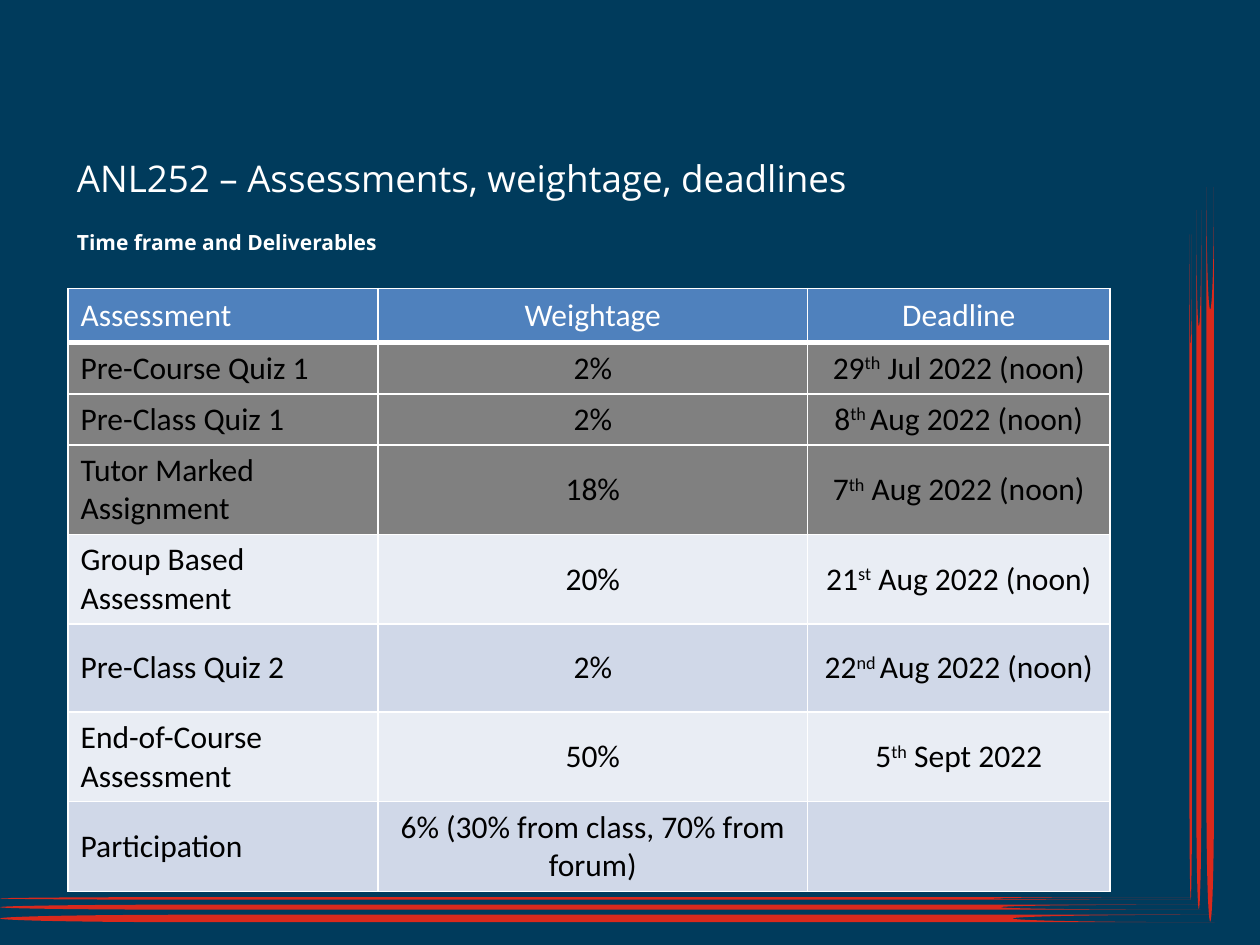
from dataclasses import dataclass

from lxml import etree
from pptx import Presentation
from pptx import util as u
from pptx.dml.color import RGBColor
from pptx.enum import shapes, text
from pptx.oxml import ns

HUES = {
    "navy": "003B5C",
    "red": "DA291C",
    "white": "FFFFFF",
    "black": "000000",
    "head": "4F81BD",
    "past": "808080",
    "light": "E9EDF4",
    "dark": "D0D8E8",
}


@dataclass
class Stripe:
    left: float
    top: float
    length: float
    thick: float
    turn: int = 0


@dataclass
class Entry:
    name: str
    weight: str
    due: tuple[str, ...]
    fill: str
    height: float


STRIPES = [
    Stripe(0, 7.12, 9.45, 0.02),
    Stripe(0, 7.18, 9.53, 0.04),
    Stripe(0, 7.26, 9.64, 0.06),
    Stripe(6.81, 4.49, 5.28, 0.02, 270),
    Stripe(6.74, 4.42, 5.55, 0.04, 270),
    Stripe(6.69, 4.37, 5.83, 0.06, 270),
]

ENTRIES = [
    Entry("Assessment", "Weightage", ("Deadline",), "head", 0.43),
    Entry("Pre-Course Quiz 1", "2%", ("29", "th", " Jul 2022 (noon)"), "past", 0.4),
    Entry("Pre-Class Quiz 1", "2%", ("8", "th ", "Aug 2022 (noon)"), "past", 0.4),
    Entry("Tutor Marked Assignment", "18%", ("7", "th", " Aug 2022 (noon)"), "past", 0.4),
    Entry("Group Based Assessment", "20%", ("21", "st", " Aug 2022 (noon)"), "light", 0.7),
    Entry("Pre-Class Quiz 2", "2%", ("22", "nd ", "Aug 2022 (noon)"), "dark", 0.7),
    Entry("End-of-Course Assessment", "50%", ("5", "th", " Sept 2022"), "light", 0.7),
    Entry("Participation", "6% (30% from class, 70% from forum)", (), "dark", 0.4),
]
WIDTHS = [2.46, 3.41, 2.4]


def hue(name: str) -> RGBColor:
    return RGBColor.from_string(HUES[name])


def style(para, face: str, size: float, color: str, bold: bool = False) -> None:
    para.font.name = face
    para.font.size = u.Pt(size)
    para.font.bold = bold
    para.font.color.rgb = hue(color)


def draw_stripe(slide, bar: Stripe) -> None:
    shape = slide.shapes.add_shape(
        shapes.MSO_SHAPE.FLOWCHART_STORED_DATA,
        u.Inches(bar.left), u.Inches(bar.top),
        u.Inches(bar.length), u.Inches(bar.thick),
    )
    shape.rotation = bar.turn
    shape.shadow.inherit = False
    shape.fill.solid()
    shape.fill.fore_color.rgb = hue("red")
    shape.line.fill.background()


def set_holder(holder, box: tuple[float, ...], words: str):
    holder.left, holder.top, holder.width, holder.height = map(u.Inches, box)
    frame = holder.text_frame
    frame.word_wrap = True
    frame.auto_size = text.MSO_AUTO_SIZE.NONE
    frame.margin_left = frame.margin_right = u.Inches(0.07)
    frame.margin_top = frame.margin_bottom = u.Inches(0.04)
    frame.text = words
    para = frame.paragraphs[0]
    para.alignment = text.PP_ALIGN.LEFT
    para.space_before = u.Pt(0)
    return para


def add_edges(cell, base: float) -> None:
    props = cell._tc.get_or_add_tcPr()
    for side, width in zip("LRTB", (1, 1, 1, base)):
        line = etree.SubElement(props, ns.qn(f"a:ln{side}"), w=str(u.Pt(width)))
        fill = etree.SubElement(line, ns.qn("a:solidFill"))
        etree.SubElement(fill, ns.qn("a:srgbClr"), val=HUES["white"])


def fill_cell(cell, parts: tuple[str, ...], entry: Entry, center: bool) -> None:
    header = entry.fill == "head"
    add_edges(cell, 3 if header else 1)
    cell.fill.solid()
    cell.fill.fore_color.rgb = hue(entry.fill)
    cell.vertical_anchor = text.MSO_ANCHOR.MIDDLE
    para = cell.text_frame.paragraphs[0]
    para.alignment = text.PP_ALIGN.CENTER if center else text.PP_ALIGN.LEFT
    style(para, "Calibri", 18, "white" if header else "black")
    for spot, words in enumerate(parts):
        run = para.add_run()
        run.text = words
        if spot == 1:
            run._r.get_or_add_rPr().set("baseline", "30000")


def draw_table(slide) -> None:
    high = sum(entry.height for entry in ENTRIES)
    table = slide.shapes.add_table(
        len(ENTRIES), len(WIDTHS), u.Inches(0.54), u.Inches(2.29),
        u.Inches(sum(WIDTHS)), u.Inches(high),
    ).table
    table.first_row = table.horz_banding = False
    for column, width in zip(table.columns, WIDTHS):
        column.width = u.Inches(width)
    for row, entry in zip(table.rows, ENTRIES):
        row.height = u.Inches(entry.height)
        texts = ((entry.name,), (entry.weight,), entry.due)
        for spot, (cell, parts) in enumerate(zip(row.cells, texts)):
            fill_cell(cell, parts, entry, spot > 0)


def main() -> None:
    deck = Presentation()
    deck.slide_width, deck.slide_height = u.Inches(10), u.Inches(7.5)
    slide = deck.slides.add_slide(deck.slide_layouts[1])
    slide.background.fill.solid()
    slide.background.fill.fore_color.rgb = hue("navy")
    for bar in STRIPES:
        draw_stripe(slide, bar)

    title = set_holder(
        slide.shapes.title, (0.54, 1.16, 6.79, 0.5),
        "ANL252 – Assessments, weightage, deadlines",
    )
    style(title, "Open Sans", 21, "white")

    lead = set_holder(
        slide.placeholders[1], (0.54, 1.78, 6.19, 0.25),
        "Time frame and Deliverables",
    )
    props = lead._p.get_or_add_pPr()
    props.set("marL", str(u.Inches(0.28)))
    props.set("indent", str(u.Inches(-0.28)))
    etree.SubElement(props, ns.qn("a:buNone"))
    style(lead, "Open Sans", 12, "white", True)

    draw_table(slide)
    deck.save("out.pptx")


if __name__ == "__main__":
    main()
